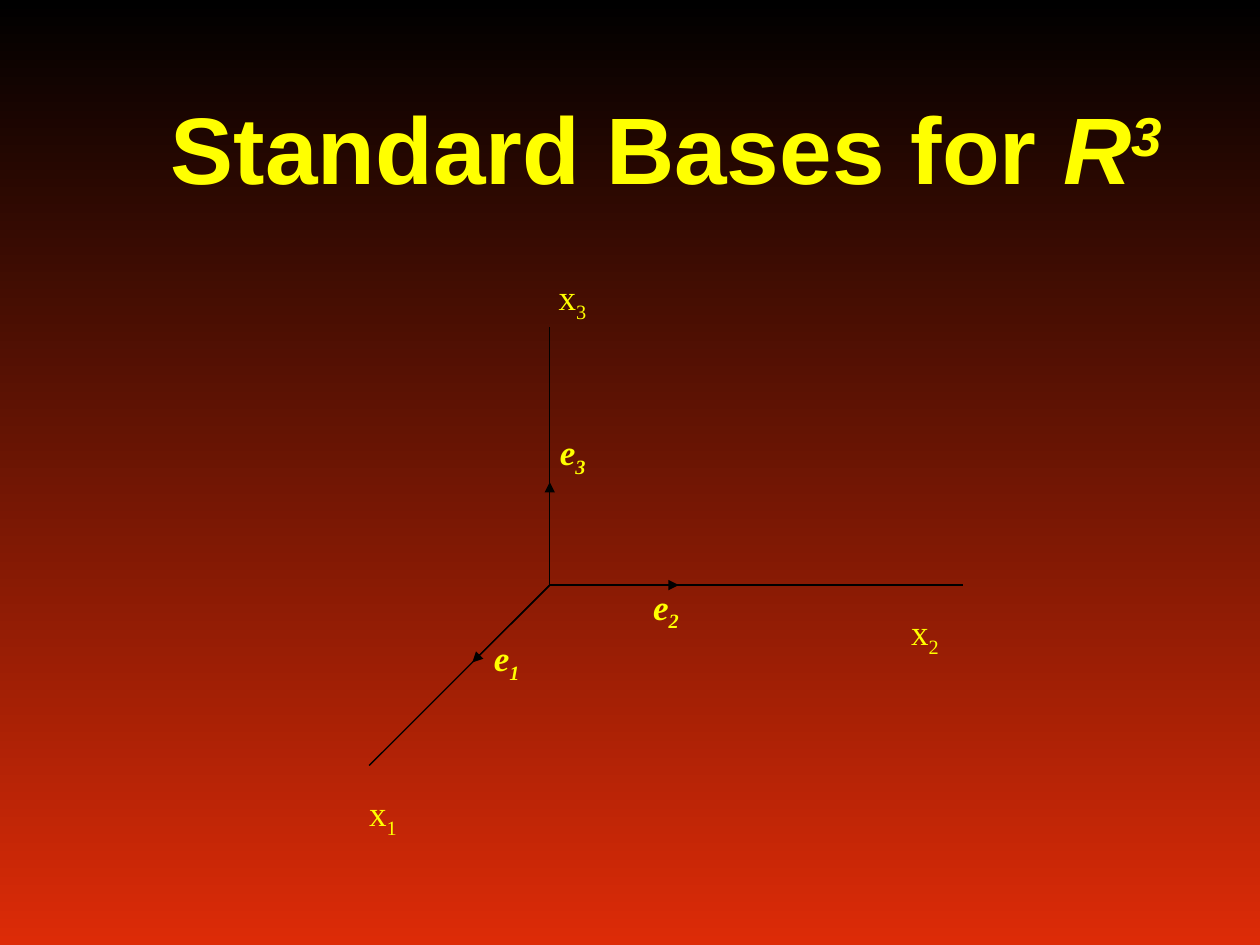
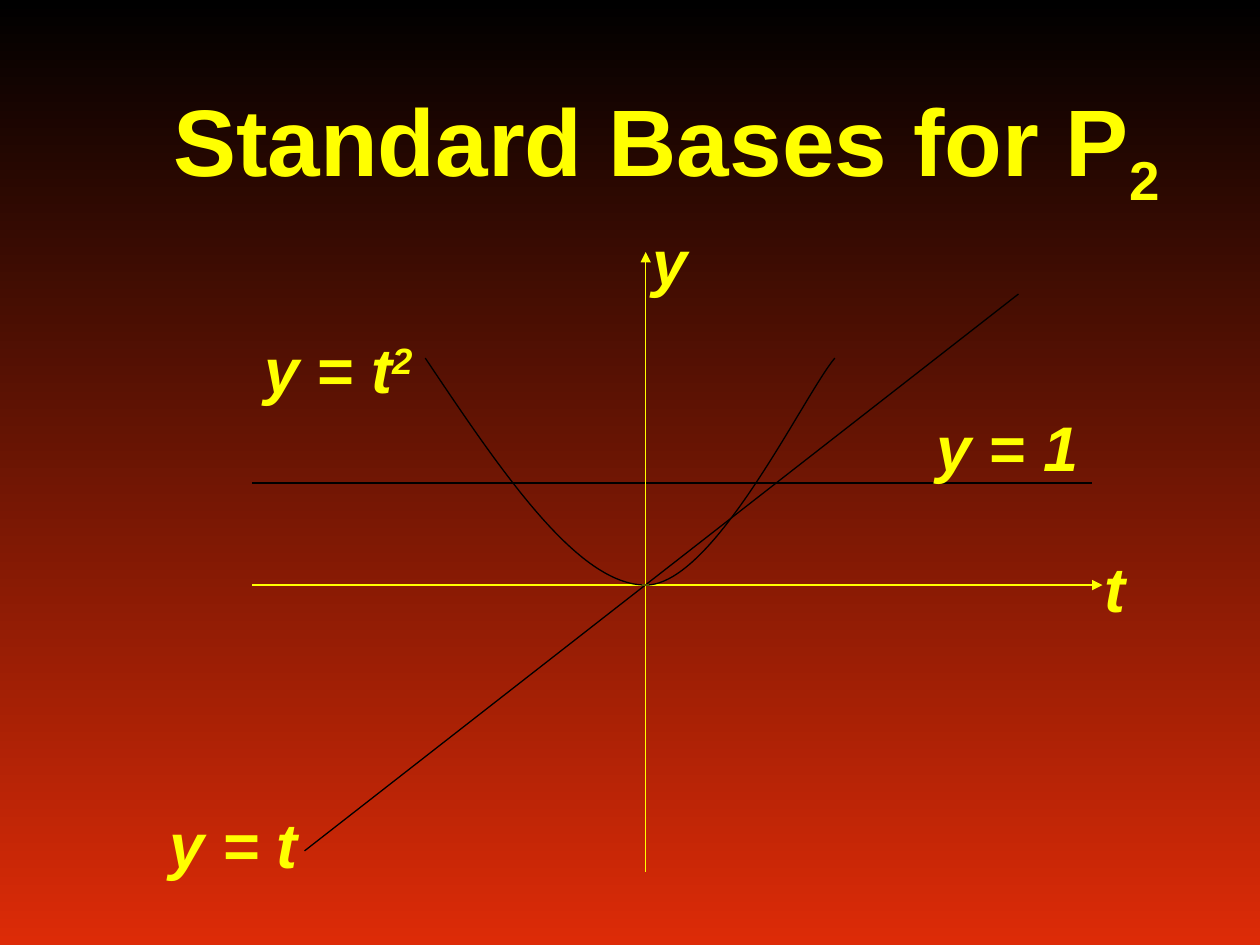
import pptx
import pptx.dml.color
import pptx.enum.shapes
import pptx.enum.text
import pptx.oxml
import pptx.oxml.ns
import pptx.util

YELLOW = "FFFF00"
BLACK = "000000"
RED = "DD2B07"
SANS = "Arial"
SERIF = "Times New Roman"
SUPER = 30
SUB = -25


def rgb(hex_code):
    return pptx.dml.color.RGBColor.from_string(hex_code)


class Grid:
    """Columns and rows laid over a box given in inches."""

    def __init__(self, left, top, width, height, columns, rows):
        self.left, self.top = left, top
        self.column, self.row = width / columns, height / rows

    def point(self, column, row):
        return (pptx.util.Inches(self.left + column * self.column),
                pptx.util.Inches(self.top + row * self.row))

    def size(self, columns, rows):
        return (pptx.util.Inches(columns * self.column),
                pptx.util.Inches(rows * self.row))


def paint_background(master):
    fill = master.background.fill
    fill.gradient()
    fill.gradient_angle = 270
    for stop, color in zip(fill.gradient_stops, (BLACK, RED)):
        stop.color.rgb = rgb(color)


def set_margins(frame, left, top, right, bottom):
    frame.margin_left, frame.margin_top, frame.margin_right, frame.margin_bottom = (
        pptx.util.Inches(inset) for inset in (left, top, right, bottom))


def add_runs(paragraph, parts, font_name, size, bold=False, italic=False):
    """Each part is a text, or a tuple (text, baseline shift in %, italic)."""
    for part in parts:
        text, shift, slanted = (part, 0, italic) if isinstance(part, str) else part
        run = paragraph.add_run()
        run.text = text
        run.font.name = font_name
        run.font.size = pptx.util.Pt(size)
        run.font.bold = bold
        run.font.italic = slanted
        run.font.color.rgb = rgb(YELLOW)
        if shift:
            run.font._element.set("baseline", str(shift * 1000))


def add_titled_slide(prs, heading):
    slide = prs.slides.add_slide(prs.slide_layouts[5])
    title = slide.shapes.title
    title.left, title.top = pptx.util.Inches(1), pptx.util.Inches(0.33)
    title.width, title.height = pptx.util.Inches(8.58), pptx.util.Inches(1.67)
    frame = title.text_frame
    frame.auto_size = pptx.enum.text.MSO_AUTO_SIZE.NONE
    frame.vertical_anchor = pptx.enum.text.MSO_ANCHOR.MIDDLE
    set_margins(frame, 0.1, 0.05, 0.1, 0.05)
    frame.paragraphs[0].alignment = pptx.enum.text.PP_ALIGN.CENTER
    add_runs(frame.paragraphs[0], heading, SANS, 54, bold=True)
    return slide


def style_line(line, color):
    line.color.rgb = rgb(color)
    line.width = pptx.util.Pt(0.75)


def add_line(slide, grid, start, end, color=BLACK, arrow=False):
    line = slide.shapes.add_connector(
        pptx.enum.shapes.MSO_CONNECTOR.STRAIGHT, *grid.point(*start), *grid.point(*end))
    style_line(line.line, color)
    if arrow:
        head = pptx.oxml.parse_xml(
            f'<a:tailEnd {pptx.oxml.ns.nsdecls("a")} type="triangle"/>')
        line.line._get_or_add_ln().append(head)
    line._element.spPr.append(
        pptx.oxml.parse_xml(f'<a:effectLst {pptx.oxml.ns.nsdecls("a")}/>'))


def add_label_frame(slide, grid, corner, size):
    frame = slide.shapes.add_textbox(*grid.point(*corner), *grid.size(*size)).text_frame
    frame.word_wrap = True
    return frame


def add_curve(slide, grid, start, controls):
    """Draw cubic Bezier segments; every three controls make one segment."""
    builder = slide.shapes.build_freeform(*grid.point(*start))
    builder.add_line_segments([grid.point(*spot) for spot in controls], close=False)
    curve = builder.convert_to_shape()
    curve.fill.background()
    curve.shadow.inherit = False
    style_line(curve.line, BLACK)
    outline = curve._element.find(".//" + pptx.oxml.ns.qn("a:path"))
    steps = outline.findall(pptx.oxml.ns.qn("a:lnTo"))
    for first in range(0, len(steps), 3):
        bezier = pptx.oxml.parse_xml(f'<a:cubicBezTo {pptx.oxml.ns.nsdecls("a")}/>')
        for step in steps[first:first + 3]:
            bezier.append(step[0])
            outline.remove(step)
        outline.append(bezier)


def draw_space_axes(slide, box):
    grid = Grid(*box, columns=23, rows=20)
    origin = (7, 12)
    for axis_end in ((7, 2), (23, 12), (0, 19)):
        add_line(slide, grid, origin, axis_end)
    for vector_tip in ((4, 15), (12, 12), (7, 8)):
        add_line(slide, grid, origin, vector_tip, arrow=True)

    # symbol, index, corner, left inset
    labels = (("x", "1", (0, 20), 0), ("x", "2", (21, 13), 0), ("x", "3", (7, 0), 0.07),
              ("e", "1", (4, 14), 0.17), ("e", "2", (11, 12), 0), ("e", "3", (7, 6), 0.08))
    for symbol, index, corner, inset in labels:
        is_vector = symbol == "e"
        frame = add_label_frame(slide, grid, corner, (4, 1.86))
        set_margins(frame, inset, 0, 0.1, 0)
        add_runs(frame.paragraphs[0], [symbol, (index, SUB, is_vector)],
                 SERIF, 20, bold=is_vector, italic=is_vector)


def draw_polynomials(slide, box):
    grid = Grid(*box, columns=81, rows=59)
    t_row, y_column = 31.7, 37.5
    add_line(slide, grid, (0, 22), (80, 22))
    add_line(slide, grid, (5, 57), (73, 4))
    add_line(slide, grid, (0, t_row), (78, t_row), YELLOW)
    add_line(slide, grid, (y_column, 59), (y_column, 2.9), YELLOW)
    add_curve(slide, grid, (16.5, 10.1),
              [(23.75, 20.9), (31, t_row), (y_column, t_row),
               (44, t_row), (52.5, 13.7), (55.5, 10.1)])
    add_line(slide, grid, (76.5, t_row), (81, t_row), YELLOW, arrow=True)
    add_line(slide, grid, (y_column, 4.3), (y_column, 0), YELLOW, arrow=True)

    axis_name, equation = 7, 21
    labels = ((["t"], (80, 26.4), axis_name),
              (["y"], (37, -4.7), axis_name),
              (["y = t"], (-9, 50.8), equation),
              (["y = t", ("2", SUPER, True)], (0, 5.6), equation),
              (["y = 1"], (64, 13), equation))
    for parts, corner, columns in labels:
        frame = add_label_frame(slide, grid, corner, (columns, 10))
        frame.vertical_anchor = pptx.enum.text.MSO_ANCHOR.MIDDLE
        set_margins(frame, 0.1, 0.13, 0.1, 0.05)
        add_runs(frame.paragraphs[0], parts, SANS, 36, bold=True, italic=True)


def main():
    prs = pptx.Presentation()
    prs.slide_width, prs.slide_height = pptx.util.Inches(10), pptx.util.Inches(7.5)
    paint_background(prs.slide_master)

    space = add_titled_slide(prs, ["Standard Bases for ", ("R", 0, True), ("3", SUPER, True)])
    draw_space_axes(space, (2.93, 2.19, 4.71, 4.09))

    polynomials = add_titled_slide(prs, ["Standard Bases for P", ("2", SUB, False)])
    draw_polynomials(polynomials, (2, 2, 6.75, 4.92))

    prs.save("out.pptx")


if __name__ == "__main__":
    main()
